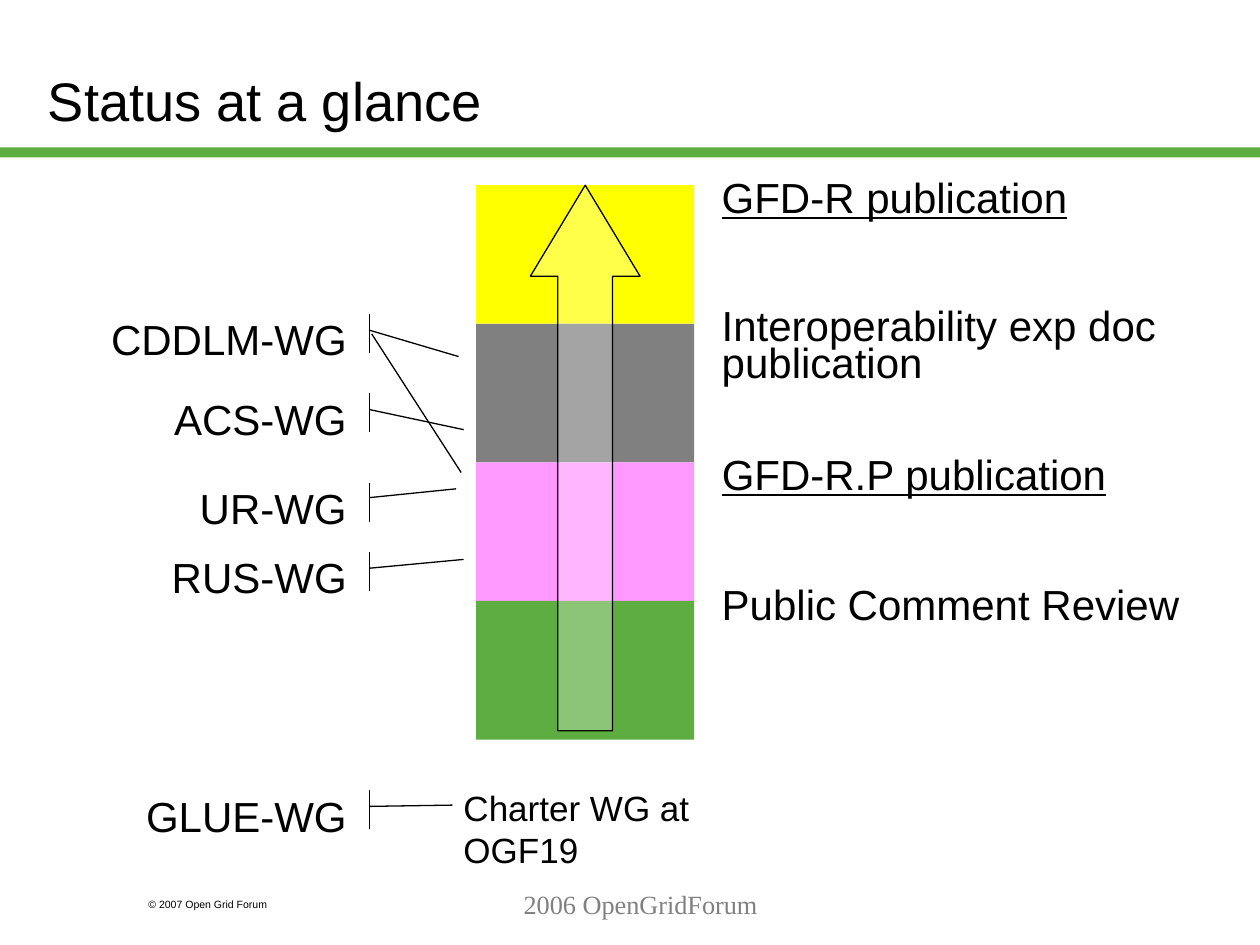
from dataclasses import dataclass

from lxml import etree
from pptx import Presentation
from pptx.dml.color import RGBColor
from pptx.enum.shapes import MSO_CONNECTOR, MSO_SHAPE
from pptx.enum.text import MSO_ANCHOR, MSO_AUTO_SIZE, PP_ALIGN
from pptx.oxml.ns import qn
from pptx.util import Inches, Pt

RECTANGLE = MSO_SHAPE.RECTANGLE
UP_ARROW = MSO_SHAPE.UP_ARROW
ACCENT_CALLOUT = MSO_SHAPE.LINE_CALLOUT_1_ACCENT_BAR
STRAIGHT = MSO_CONNECTOR.STRAIGHT
LEFT, CENTER, RIGHT = PP_ALIGN.LEFT, PP_ALIGN.CENTER, PP_ALIGN.RIGHT
TOP, MIDDLE = MSO_ANCHOR.TOP, MSO_ANCHOR.MIDDLE
FIT_SHAPE, NO_FIT = MSO_AUTO_SIZE.SHAPE_TO_FIT_TEXT, MSO_AUTO_SIZE.NONE

CELL = Inches(0.1)
COLUMNS, ROWS = 100, 75
BAND_LEFT, BAND_TOP, BAND_WIDTH, BAND_HEIGHT = 37.8, 14.7, 17.3, 11
STAGE_LEFT = 56.3
GROUP_RIGHT, BAR_COLUMN, GROUP_HEIGHT = 28.5, 29.3, 3.1

COLORS = {
    "black": "000000",
    "white": "FFFFFF",
    "green": "5DAD41",
    "pink": "FF99FF",
    "gray": "808080",
    "yellow": "FFFF00",
}
LABEL = {"name": "Arial", "size": Pt(24)}
UNDERLINED = {**LABEL, "underline": True}
TITLE = {"name": "Arial", "size": Pt(31)}
CHARTER = {"name": "Arial", "size": Pt(20)}
COPYRIGHT = {"name": "Arial", "size": Pt(6)}
FOOTER = {"name": "Times New Roman", "size": Pt(15)}
FREE_FRAME = {"word_wrap": False, "auto_size": FIT_SHAPE, "vertical_anchor": TOP}
WRAPPED_FRAME = {"word_wrap": True, "auto_size": NO_FIT, "vertical_anchor": TOP}
TITLE_FRAME = {**WRAPPED_FRAME, "vertical_anchor": MIDDLE}
GROUP_FRAME = {**WRAPPED_FRAME, "margin_left": 0, "margin_top": 0,
               "margin_right": Inches(0.1), "margin_bottom": Inches(0.05)}


@dataclass(frozen=True)
class Area:
    left: float
    top: float
    width: float
    height: float

    def lengths(self) -> list:
        return [round(n * CELL) for n in (self.left, self.top, self.width, self.height)]


@dataclass(frozen=True)
class Caption:
    lines: tuple
    area: Area
    font: dict
    frame: dict
    color: str = "black"
    align: PP_ALIGN = LEFT


@dataclass(frozen=True)
class WorkingGroup:
    name: str
    top: float
    width: float
    leader_row: float
    target_column: float
    target_row: float


BANDS = ("yellow", "gray", "pink", "green")
CAPTIONS = (
    Caption(("© 2007 Open Grid Forum",), Area(10.8, 70.8, 15, 2), COPYRIGHT,
            {**WRAPPED_FRAME, "auto_size": FIT_SHAPE}),
    Caption(("Public Comment Review",), Area(STAGE_LEFT, 45.4, 38.3, 5), LABEL, FREE_FRAME),
    Caption(("GFD-R.P publication",), Area(STAGE_LEFT, 35.1, 32.5, 5), UNDERLINED, FREE_FRAME),
    Caption(("Interoperability exp doc", "publication"),
            Area(STAGE_LEFT, 23.3, 37.4, 7.8), LABEL, FREE_FRAME),
    Caption(("GFD-R publication",), Area(STAGE_LEFT, 13.1, 29.4, 5), UNDERLINED, FREE_FRAME),
    Caption(("Charter WG at OGF19",), Area(35.8, 61.9, 29.8, 4.4), CHARTER, FREE_FRAME),
    Caption(("2006 OpenGridForum",), Area(21.7, 70, 58.3, 5), FOOTER, WRAPPED_FRAME,
            "gray", CENTER),
)
GROUPS = (
    WorkingGroup("ACS-WG", 31.2, 17.9, 32.5, 36.8, 34.1),
    WorkingGroup("CDDLM-WG", 24.9, 21.8, 26.2, 36.4, 28.3),
    WorkingGroup("UR-WG", 38.3, 17.9, 39.5, 36.2, 38.8),
    WorkingGroup("RUS-WG", 43.8, 17.9, 45.1, 36.8, 44.4),
    WorkingGroup("GLUE-WG", 62.7, 17.9, 64, 35.9, 63.9),
)


def rgb(color: str) -> RGBColor:
    return RGBColor.from_string(COLORS[color])


def apply(target, values: dict) -> None:
    for attribute, value in values.items():
        setattr(target, attribute, value)


def write(shape, lines: tuple, font: dict, frame: dict, color: str, align: PP_ALIGN) -> None:
    body = shape.text_frame
    body.text = "\n".join(lines)
    apply(body, frame)
    for index, paragraph in enumerate(body.paragraphs):
        paragraph.alignment = align
        if index:
            paragraph.line_spacing = 0.7
        for run in paragraph.runs:
            apply(run.font, font)
            run.font.color.rgb = rgb(color)


def outline(shape) -> None:
    shape.line.color.rgb = rgb("black")
    shape.line.width = Pt(0.75)


def add_filled(slide, preset: MSO_SHAPE, area: Area, color: str, outlined: bool = False):
    shape = slide.shapes.add_shape(preset, *area.lengths())
    shape.shadow.inherit = False
    shape.fill.solid()
    shape.fill.fore_color.rgb = rgb(color)
    if outlined:
        outline(shape)
    else:
        shape.line.fill.background()
    return shape


def add_caption(slide, caption: Caption) -> None:
    box = slide.shapes.add_textbox(*caption.area.lengths())
    write(box, caption.lines, caption.font, caption.frame, caption.color, caption.align)


def add_progress_arrow(slide) -> None:
    arrow = add_filled(slide, UP_ARROW, Area(42.1, BAND_TOP, 8.7, 43.3), "white", True)
    arrow.adjustments[0] = 0.5
    arrow.adjustments[1] = 0.83
    tint = arrow.fill._xPr.find(qn("a:solidFill"))[0]
    etree.SubElement(tint, qn("a:alpha"), val="29000")


def add_group(slide, group: WorkingGroup) -> None:
    left = GROUP_RIGHT - group.width
    area = Area(left, group.top, group.width, GROUP_HEIGHT)
    callout = add_filled(slide, ACCENT_CALLOUT, area, "white", True)
    points = ((group.leader_row, BAR_COLUMN), (group.target_row, group.target_column))
    for index, (row, column) in enumerate(points):
        callout.adjustments[2 * index] = (row - group.top) / GROUP_HEIGHT
        callout.adjustments[2 * index + 1] = (column - left) / group.width
    write(callout, (group.name,), LABEL, GROUP_FRAME, "black", RIGHT)


def add_second_leader(slide) -> None:
    ends = [round(n * CELL) for n in (29.5, 26.5, 36.6, 37.5)]
    leader = slide.shapes.add_connector(STRAIGHT, *ends)
    outline(leader)
    etree.SubElement(leader._element.spPr, qn("a:effectLst"))


def main() -> None:
    """Build the working-group status slide."""
    deck = Presentation()
    deck.slide_width, deck.slide_height = COLUMNS * CELL, ROWS * CELL
    slide = deck.slides.add_slide(deck.slide_layouts[5])
    title = slide.shapes.title
    placement = Area(2.8, 1.7, 85, 12.5).lengths()
    apply(title, dict(zip(("left", "top", "width", "height"), placement)))
    write(title, ("Status at a glance",), TITLE, TITLE_FRAME, "black", LEFT)
    add_filled(slide, RECTANGLE, Area(0, 11.7, COLUMNS, 0.8), "green")
    for index, color in enumerate(BANDS):
        top = BAND_TOP + index * BAND_HEIGHT
        add_filled(slide, RECTANGLE, Area(BAND_LEFT, top, BAND_WIDTH, BAND_HEIGHT), color)
    add_progress_arrow(slide)
    for group in GROUPS:
        add_group(slide, group)
    add_second_leader(slide)
    for caption in CAPTIONS:
        add_caption(slide, caption)
    deck.save("out.pptx")


if __name__ == "__main__":
    main()
